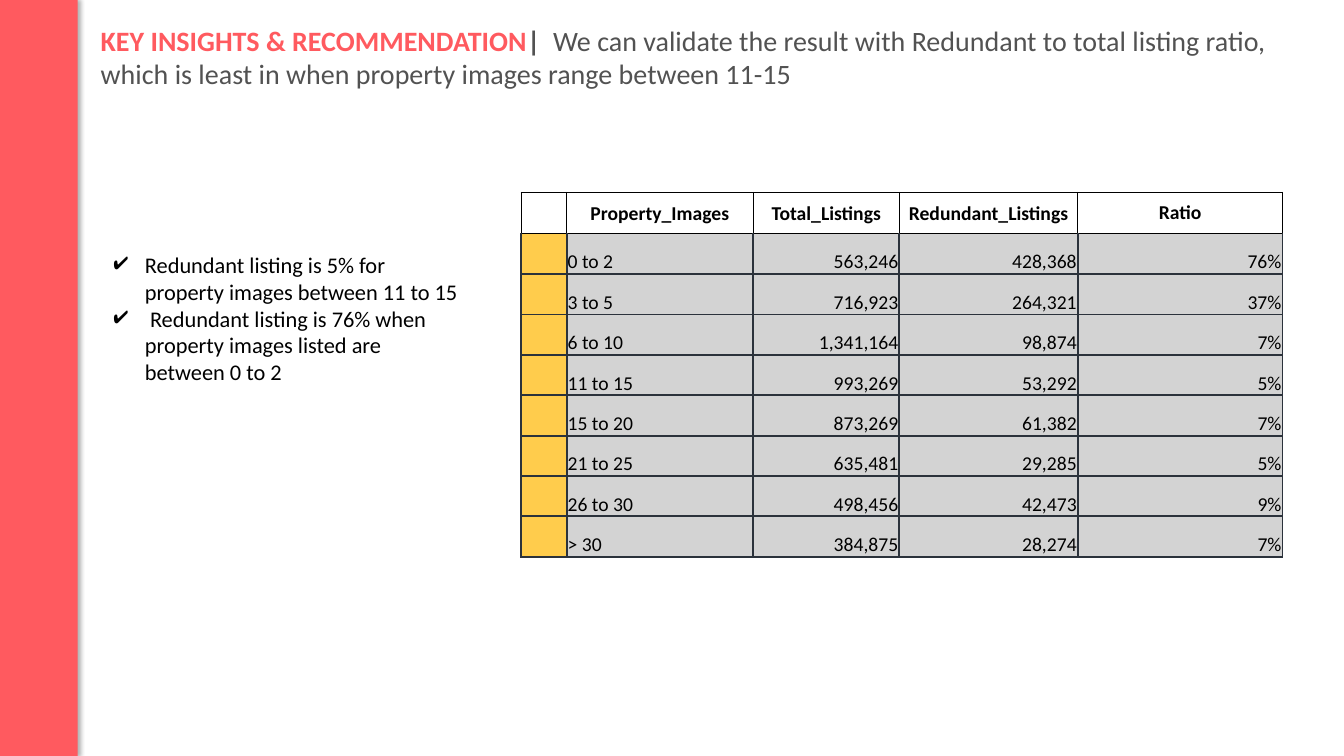
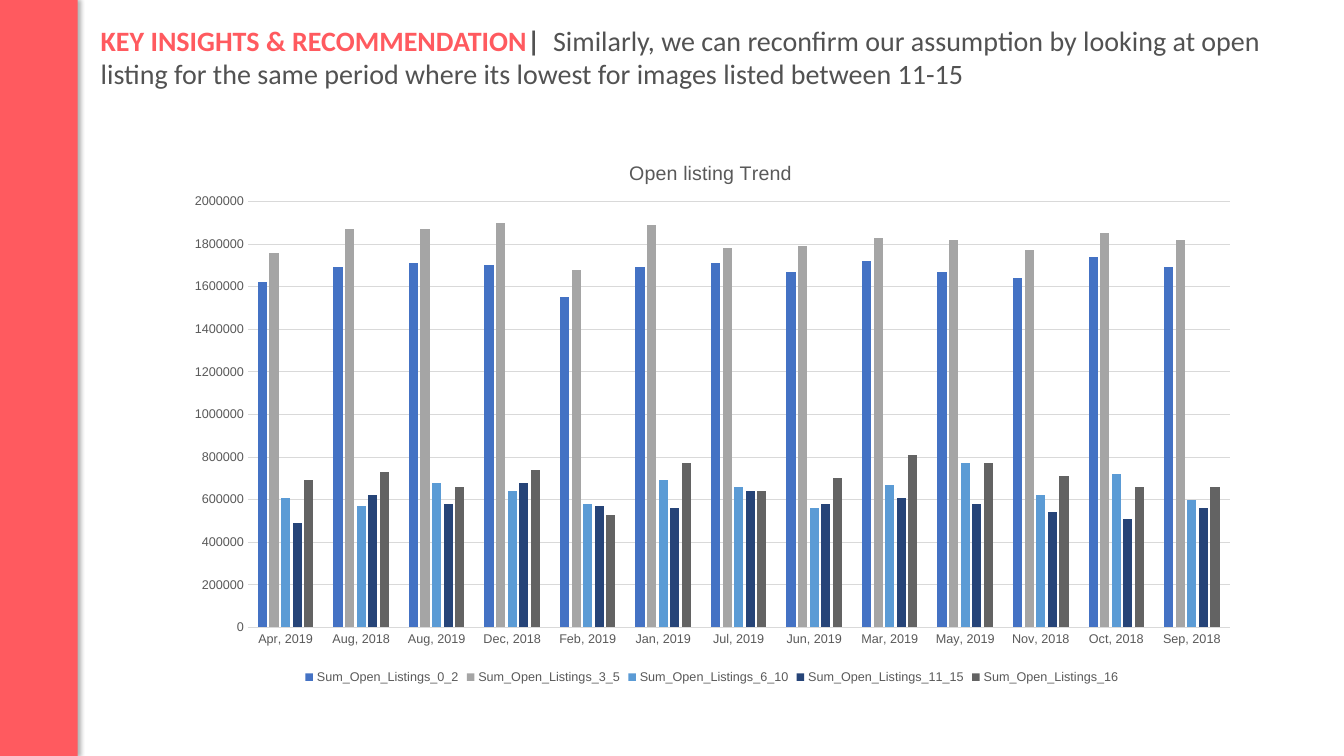
from dataclasses import dataclass

from lxml import etree
from pptx import Presentation
from pptx.chart.data import CategoryChartData
from pptx.dml.color import RGBColor
from pptx.enum.chart import XL_CHART_TYPE, XL_LEGEND_POSITION, XL_TICK_MARK
from pptx.enum.shapes import MSO_SHAPE
from pptx.enum.text import MSO_ANCHOR, MSO_AUTO_SIZE, PP_ALIGN
from pptx.oxml.ns import qn
from pptx.util import Inches, Pt

LEFT, CENTER, RIGHT = PP_ALIGN.LEFT, PP_ALIGN.CENTER, PP_ALIGN.RIGHT
MIDDLE, BOTTOM = MSO_ANCHOR.MIDDLE, MSO_ANCHOR.BOTTOM
GROW = MSO_AUTO_SIZE.SHAPE_TO_FIT_TEXT
RECT = MSO_SHAPE.RECTANGLE
COLUMNS = XL_CHART_TYPE.COLUMN_CLUSTERED
BELOW = XL_LEGEND_POSITION.BOTTOM
NO_TICK = XL_TICK_MARK.NONE


@dataclass(frozen=True)
class Theme:
    coral: str = "FF5A5F"
    slate: str = "525252"
    black: str = "000000"
    gold: str = "FFCC4C"
    silver: str = "D3D3D3"
    edge: str = "2B323B"
    label: str = "595959"
    grid: str = "D9D9D9"
    bars: tuple = ("4472C4", "A5A5A5", "5B9BD5", "264478", "636363")
    body_font: str = "Calibri"
    chart_font: str = "Arial"
    title: int = 20
    body: int = 16
    cell: int = 14
    chart_title: int = 14
    small: int = 9


THEME = Theme()
TITLE_BOX = (0.9, 0.18, 12.01, 0.77)
LIST_BOX = (1.03, 2.44, 3.67, 1.45)
TABLE_BOX = (5.17, 1.91, 7.55, 3.61)
CHART_BOX = (1.71, 1.34, 10.7, 5.49)

FINDINGS = (
    "Redundant listing is 5% for property images between 11 to 15",
    " Redundant listing is 76% when property images listed are between 0 to 2",
)
WIDTHS = (0.45, 1.85, 1.45, 1.77, 2.03)
HEAD_HEIGHT = 0.41
ROWS = (
    ("", "Property_Images", "Total_Listings", "Redundant_Listings", "Ratio"),
    ("", "0 to 2", "563,246", "428,368", "76%"),
    ("", "3 to 5", "716,923", "264,321", "37%"),
    ("", "6 to 10", "1,341,164", "98,874", "7%"),
    ("", "11 to 15", "993,269", "53,292", "5%"),
    ("", "15 to 20", "873,269", "61,382", "7%"),
    ("", "21 to 25", "635,481", "29,285", "5%"),
    ("", "26 to 30", "498,456", "42,473", "9%"),
    ("", "> 30", "384,875", "28,274", "7%"),
)
MONTHS = (
    "Apr, 2019", "Aug, 2018", "Aug, 2019", "Dec, 2018", "Feb, 2019",
    "Jan, 2019", "Jul, 2019", "Jun, 2019", "Mar, 2019", "May, 2019",
    "Nov, 2018", "Oct, 2018", "Sep, 2018",
)
UNIT = 10000
# Open listings by number of images, in units of ten thousand
OPEN = {
    "0_2": (162, 169, 171, 170, 155, 169, 171, 167, 172, 167, 164, 174, 169),
    "3_5": (176, 187, 187, 190, 168, 189, 178, 179, 183, 182, 177, 185, 182),
    "6_10": (61, 57, 68, 64, 58, 69, 66, 56, 67, 77, 62, 72, 60),
    "11_15": (49, 62, 58, 68, 57, 56, 64, 58, 61, 58, 54, 51, 56),
    "16": (69, 73, 66, 74, 53, 77, 64, 70, 81, 77, 71, 66, 66),
}


def color(code):
    return RGBColor.from_string(code)


def inches(box):
    return [Inches(side) for side in box]


def style(font, size, code, name=THEME.body_font, bold=False):
    font.size, font.name, font.bold = Pt(size), name, bold
    font.color.rgb = color(code)


def add_run(para, text, size, code, bold=False):
    run = para.add_run()
    run.text = text
    style(run.font, size, code, bold=bold)


def add_xml(parent, tag, **attrs):
    return etree.SubElement(parent, qn(tag), {key: str(val) for key, val in attrs.items()})


def text_frame(slide, box):
    frame = slide.shapes.add_textbox(*inches(box)).text_frame
    frame.word_wrap = True
    frame.auto_size = GROW
    return frame


def add_band(slide, height):
    band = slide.shapes.add_shape(RECT, 0, 0, Inches(0.77), height)
    band.fill.solid()
    band.fill.fore_color.rgb = color(THEME.coral)
    band.line.fill.background()
    band.shadow.inherit = False
    effects = band.element.spPr.find(qn("a:effectLst"))
    shade = add_xml(effects, "a:outerShdw", blurRad=Pt(3), dist=Pt(2), dir=0)
    tint = add_xml(shade, "a:srgbClr", val=THEME.black)
    add_xml(tint, "a:alpha", val=30000)


def add_title(slide, box, text):
    frame = text_frame(slide, box)
    frame.vertical_anchor = MIDDLE
    para = frame.paragraphs[0]
    add_run(para, "KEY INSIGHTS & RECOMMENDATION", THEME.title, THEME.coral, True)
    add_run(para, "| ", THEME.title, THEME.slate, True)
    add_run(para, " " + text, THEME.title, THEME.slate)


def add_slide(deck, title):
    """Add a blank slide with the shared band and title."""
    slide = deck.slides.add_slide(deck.slide_layouts[6])
    add_band(slide, deck.slide_height)
    add_title(slide, TITLE_BOX, title)
    return slide


def add_list(slide, box, items):
    frame = text_frame(slide, box)
    for index, item in enumerate(items):
        para = frame.add_paragraph() if index else frame.paragraphs[0]
        props = para._p.get_or_add_pPr()
        props.set("marL", str(Inches(0.31)))
        props.set("indent", str(-Inches(0.31)))
        add_xml(add_xml(props, "a:buClr"), "a:srgbClr", val=THEME.black)
        add_xml(props, "a:buChar", char="✔")
        add_run(para, item, THEME.body, THEME.black)


def set_edges(cell, head, first):
    """Draw thin black lines round the head and thick dark ones below it."""
    props = cell._tc.get_or_add_tcPr()
    for side in "LRTB":
        thin = head or (first and side == "T")
        line = add_xml(props, "a:ln" + side, w=Pt(1 if thin else 1.5))
        fill = add_xml(line, "a:solidFill")
        add_xml(fill, "a:srgbClr", val=THEME.black if thin else THEME.edge)


def fill_cell(cell, text, row, col):
    head = row == 0
    set_edges(cell, head, row == 1)
    if head:
        cell.fill.background()
    else:
        cell.fill.solid()
        cell.fill.fore_color.rgb = color(THEME.silver if col else THEME.gold)
    if not text:
        return
    cell.vertical_anchor = MIDDLE if head else BOTTOM
    if text != "Ratio":
        cell.margin_left = cell.margin_right = cell.margin_top = Inches(0.01)
        cell.margin_bottom = 0
    para = cell.text_frame.paragraphs[0]
    para.alignment = CENTER if head else LEFT if col == 1 else RIGHT
    add_run(para, text, THEME.cell, THEME.black, head)


def add_grid(slide, box, rows):
    table = slide.shapes.add_table(len(rows), len(WIDTHS), *inches(box)).table
    table.first_row = table.horz_banding = False
    for column, width in zip(table.columns, WIDTHS):
        column.width = Inches(width)
    body = (box[3] - HEAD_HEIGHT) / (len(rows) - 1)
    for r, row in enumerate(rows):
        table.rows[r].height = Inches(body if r else HEAD_HEIGHT)
        for c, text in enumerate(row):
            fill_cell(table.cell(r, c), text, r, c)


def place(node, index, **spots):
    """Give a chart part a fixed place, in shares of the chart's size."""
    for old in node.findall(qn("c:layout")):
        node.remove(old)
    layout = etree.Element(qn("c:layout"))
    manual = add_xml(layout, "c:manualLayout")
    if "w" in spots:
        add_xml(manual, "c:layoutTarget", val="inner")
    for axis in "xy":
        add_xml(manual, f"c:{axis}Mode", val="edge")
    for key, share in spots.items():
        add_xml(manual, "c:" + key, val=share)
    node.insert(index, layout)


def set_line(line, code):
    line.color.rgb = color(code)
    line.width = Pt(0.75)


def style_axes(chart):
    months, counts = chart.category_axis, chart.value_axis
    for axis in (months, counts):
        axis.major_tick_mark = axis.minor_tick_mark = NO_TICK
        style(axis.tick_labels.font, THEME.small, THEME.label, THEME.chart_font)
    set_line(months.format.line, THEME.grid)
    counts.format.line.fill.background()
    counts.has_major_gridlines = True
    set_line(counts.major_gridlines.format.line, THEME.grid)
    counts.minimum_scale, counts.maximum_scale = 0, 2000000
    counts.major_unit = 200000


def add_trend(slide, box):
    data = CategoryChartData()
    data.categories = MONTHS
    for name, values in OPEN.items():
        data.add_series("Sum_Open_Listings_" + name, [val * UNIT for val in values])
    chart = slide.shapes.add_chart(COLUMNS, *inches(box), data).chart
    style(chart.font, 10, THEME.black, THEME.chart_font)

    chart.has_title = True
    run = chart.chart_title.text_frame.paragraphs[0].add_run()
    run.text = "Open listing Trend"
    style(run.font, THEME.chart_title, THEME.label, THEME.chart_font)
    chart.has_legend = True
    chart.legend.position = BELOW
    chart.legend.include_in_layout = False
    style(chart.legend.font, THEME.small, THEME.label, THEME.chart_font)
    style_axes(chart)

    plot = chart.plots[0]
    plot.vary_by_categories = False
    plot.gap_width, plot.overlap = 219, -27
    for series, code in zip(plot.series, THEME.bars):
        series.format.fill.solid()
        series.format.fill.fore_color.rgb = color(code)
        series.invert_if_negative = False

    area = chart.element.find(".//" + qn("c:plotArea"))
    place(area, 0, x=0.07, y=0.12, w=0.91, h=0.77)
    place(chart.element.find(".//" + qn("c:title")), 1, x=0.42, y=0.04)


def ratio_slide(deck):
    slide = add_slide(
        deck,
        "We can validate the result with Redundant to total listing ratio, "
        "which is least in when property images range between 11-15",
    )
    add_list(slide, LIST_BOX, FINDINGS)
    add_grid(slide, TABLE_BOX, ROWS)


def trend_slide(deck):
    slide = add_slide(
        deck,
        "Similarly, we can reconfirm our assumption by looking at open listing "
        "for the same period where its lowest for images listed between 11-15",
    )
    add_trend(slide, CHART_BOX)


def main():
    deck = Presentation()
    deck.slide_width, deck.slide_height = Inches(13.33), Inches(7.5)
    ratio_slide(deck)
    trend_slide(deck)
    deck.save("out.pptx")


if __name__ == "__main__":
    main()
